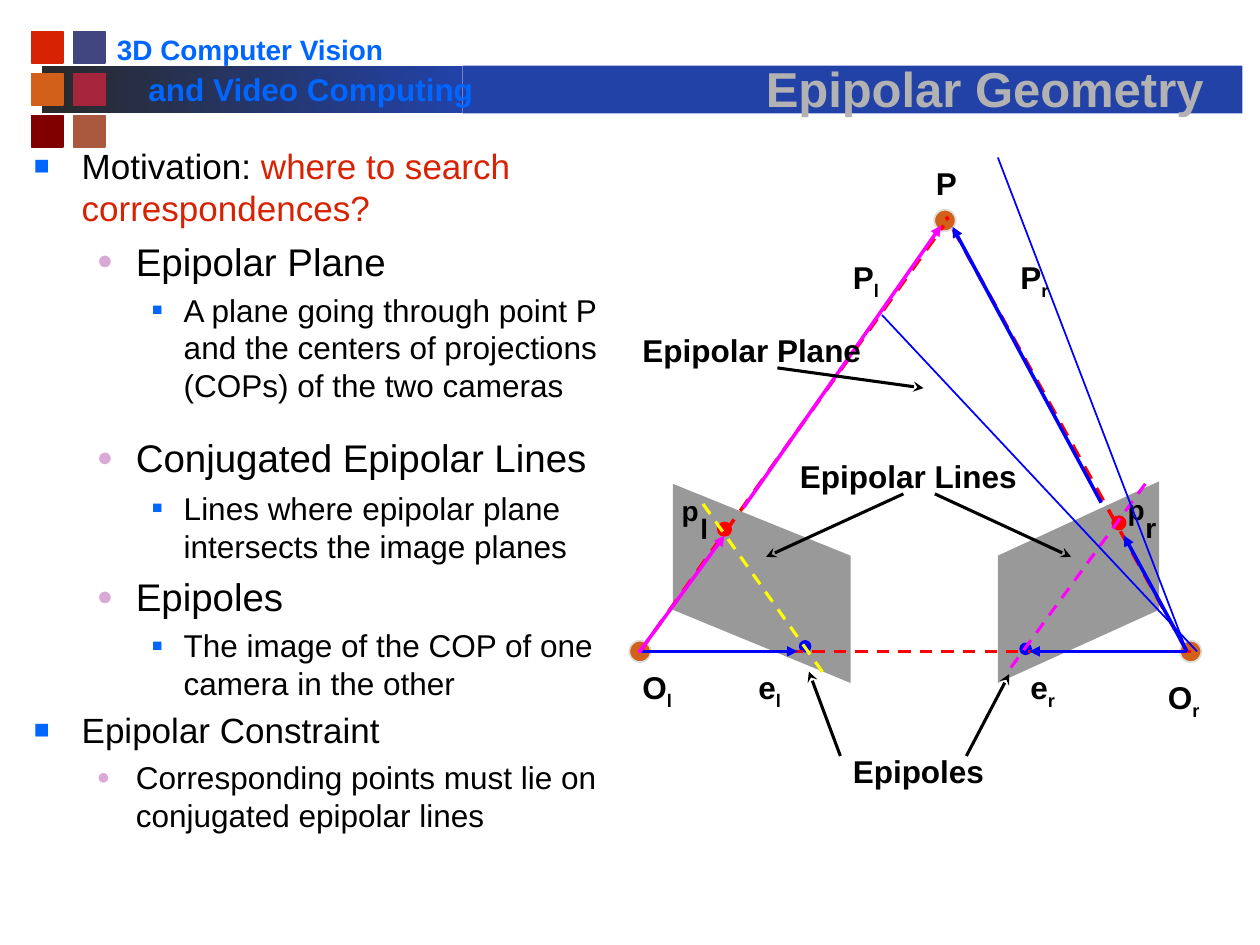
"""Build the Epipolar Geometry lecture slide."""
import pptx
import pptx.dml.color
import pptx.enum.dml
import pptx.enum.shapes
import pptx.enum.text
import pptx.oxml.ns
import pptx.util
from lxml import etree

Inches, Pt = pptx.util.Inches, pptx.util.Pt
RGBColor = pptx.dml.color.RGBColor
SHAPES = pptx.enum.shapes.MSO_SHAPE
ANCHOR = pptx.enum.text.MSO_ANCHOR
ALIGN = pptx.enum.text.PP_ALIGN

FONT = "Arial"
BLACK = RGBColor(0x00, 0x00, 0x00)
GRAY = RGBColor(0x99, 0x99, 0x99)
SILVER = RGBColor(0xB2, 0xB2, 0xB2)
PALE = RGBColor(0xDD, 0xDD, 0xDD)
CHARCOAL = RGBColor(0x29, 0x29, 0x29)
NAVY = RGBColor(0x22, 0x42, 0xA8)
AZURE = RGBColor(0x00, 0x66, 0xFF)
SCARLET = RGBColor(0xD8, 0x22, 0x04)
ORANGE = RGBColor(0xD2, 0x60, 0x1A)
INDIGO = RGBColor(0x42, 0x46, 0x80)
CRIMSON = RGBColor(0xA5, 0x25, 0x3D)
MAROON = RGBColor(0x80, 0x00, 0x00)
SIENNA = RGBColor(0xAA, 0x58, 0x3E)
PINK = RGBColor(0xDB, 0xA9, 0xD7)
RED = RGBColor(0xFF, 0x00, 0x00)
BLUE = RGBColor(0x00, 0x00, 0xFF)
MAGENTA = RGBColor(0xFF, 0x00, 0xFF)
YELLOW = RGBColor(0xFF, 0xFF, 0x00)

TITLE = "Epipolar Geometry"
SQUARES = [(SCARLET, INDIGO), (ORANGE, CRIMSON), (MAROON, SIENNA)]
COURSE = [("3D Computer Vision", 0.83, 0.21, 16),
          ("and Video Computing", 1.08, 0.51, 18)]
LEVELS = [(0.38, 0.38, "■", AZURE, 75), (0.81, 0.31, "●", PINK, 70),
          (1.19, 0.25, "■", AZURE, 55)]
OUTLINE = [
    (0, 20, 0, [("Motivation: ", BLACK), ("where to search correspondences?", SCARLET)]),
    (1, 22, 5, [("Epipolar Plane", BLACK)]),
    (2, 18, 4, [("A plane going through point P and the centers of projections "
                 "(COPs) of the two cameras", BLACK)]),
    (1, 22, 17, [("Conjugated Epipolar Lines", BLACK)]),
    (2, 18, 5, [("Lines where epipolar plane intersects the image planes", BLACK)]),
    (1, 22, 5, [("Epipoles", BLACK)]),
    (2, 18, 4, [("The image of the COP of one camera in the other", BLACK)]),
    (0, 20, 4, [("Epipolar Constraint", BLACK)]),
    (1, 18, 4, [("Corresponding points must lie on conjugated epipolar lines", BLACK)]),
]
IMAGE_PLANES = [[(5.34, 3.84), (6.75, 4.41), (6.75, 5.42), (5.34, 4.84)],
                [(9.2, 3.82), (7.92, 4.41), (7.92, 5.42), (9.2, 4.84)]]
IMAGE_POINTS = [(8.88, 4.15), (5.75, 4.2)]
WORLD_POINTS = [(5.08, 5.17), (9.45, 5.17), (7.5, 1.75)]
EPIPOLES = [(6.39, 5.13), (8.14, 5.15)]
LINES = [
    ((5.08, 5.17), (9.5, 5.17), RED, 1.75, "dash"),
    ((5.08, 5.17), (6.33, 5.17), BLUE, 2, "triangle"),
    ((9.42, 5.17), (8.17, 5.17), BLUE, 2, "triangle"),
    ((5.08, 5.17), (7.49, 1.79), RED, 2, "dash"),
    ((9.42, 5.17), (7.51, 1.72), RED, 2, "dash"),
    ((5.07, 5.18), (5.75, 4.25), MAGENTA, 2, "triangle"),
    ((5.9, 4.03), (7.47, 1.79), MAGENTA, 2, "triangle"),
    ((9.42, 5.17), (8.92, 4.25), BLUE, 2, "triangle"),
    ((8.74, 3.99), (7.56, 1.8), BLUE, 2, "triangle"),
    ((5.58, 4), (6.54, 5.35), YELLOW, 1.75, "dash"),
    ((9.09, 3.84), (8, 5.33), MAGENTA, 1.75, "dash"),
    ((6.17, 2.92), (7.33, 3.08), BLACK, 1.75, "stealth"),
    ((7.17, 3.92), (6.08, 4.42), BLACK, 1.75, "stealth"),
    ((7.42, 3.92), (8.5, 4.42), BLACK, 1.75, "stealth"),
    ((7.67, 6), (8.01, 5.35), BLACK, 1.75, "stealth"),
    ((6.67, 6), (6.42, 5.33), BLACK, 1.75, "stealth"),
    ((7, 2.5), (9.5, 5.17), BLUE, 1, None),
    ((7.92, 1.25), (9.42, 5.17), BLUE, 1, None),
]
POINT_LABELS = [("p", 5.41, 3.92), ("l", 5.56, 4.06), ("p", 8.95, 3.91), ("r", 9.09, 4.05)]
LABELS = [("P", "", 7.33, 1.25), ("O", "l", 5, 5.25), ("O", "r", 9.17, 5.33),
          ("e", "l", 5.92, 5.25), ("e", "r", 8.08, 5.25), ("P", "l", 6.67, 2),
          ("P", "r", 8, 2), ("Epipolar Plane", "", 5, 2.58),
          ("Epipolar Lines", "", 6.25, 3.58), ("Epipoles", "", 6.67, 5.92)]


def add_xml(parent, tag, **attributes):
    return etree.SubElement(parent, pptx.oxml.ns.qn(tag), attributes)


def style_font(font, size, color, bold=True):
    font.name, font.size, font.bold = FONT, Pt(size), bold
    font.color.rgb = color


def paint(shape, fill, line=None):
    shape.shadow.inherit = False
    shape.fill.solid()
    shape.fill.fore_color.rgb = fill
    if line is None:
        shape.line.fill.background()
    else:
        shape.line.color.rgb = line
        shape.line.width = Pt(1)


def add_block(slide, kind, left, top, width, height, fill, line=None):
    shape = slide.shapes.add_shape(kind, Inches(left), Inches(top), Inches(width), Inches(height))
    paint(shape, fill, line)
    return shape


def add_dots(slide, centers, size, fill, line=None):
    for x, y in centers:
        add_block(slide, SHAPES.OVAL, x - size / 2, y - size / 2, size, size, fill, line)


def add_label(slide, text, left, top, width, size, color=BLACK, subscript="", inset=True):
    box = slide.shapes.add_textbox(Inches(left), Inches(top), Inches(width), Inches(0.4))
    frame = box.text_frame
    frame.word_wrap = False
    if not inset:
        frame.margin_left = frame.margin_top = frame.margin_right = frame.margin_bottom = 0
    paragraph = frame.paragraphs[0]
    paragraph.add_run().text = text
    if subscript:
        run = paragraph.add_run()
        run.text = subscript
        run.font._element.set("baseline", "-25000")
    style_font(paragraph.font, size, color)


def add_line(slide, start, end, color, width, style):
    points = [Inches(value) for value in (*start, *end)]
    line = slide.shapes.add_connector(pptx.enum.shapes.MSO_CONNECTOR.STRAIGHT, *points)
    line.line.color.rgb = color
    line.line.width = Pt(width)
    if style == "dash":
        line.line.dash_style = pptx.enum.dml.MSO_LINE.DASH
    elif style:
        add_xml(line.line._get_or_add_ln(), "a:tailEnd", type=style)
    add_xml(line._element.spPr, "a:effectLst")


def add_header(slide):
    bar = add_block(slide, SHAPES.RECTANGLE, 0.33, 0.52, 3.34, 0.38, NAVY)
    bar.fill.gradient()
    bar.fill.gradient_angle = 0
    for stop, color in zip(bar.fill.gradient_stops, (CHARCOAL, NAVY)):
        stop.color.rgb = color
    add_block(slide, SHAPES.RECTANGLE, 3.67, 0.52, 6.19, 0.38, NAVY)
    for row, colors in enumerate(SQUARES):
        for column, color in enumerate(colors):
            add_block(slide, SHAPES.RECTANGLE, 0.25 + column / 3, 0.25 + row / 3,
                      0.25, 0.25, color, color)
    for text, left, top, size in COURSE:
        add_label(slide, text, left, top, 2.83, size, AZURE)


def format_title(slide):
    title = slide.shapes.title
    title.left, title.top, title.width, title.height = map(Inches, (5.67, 0.31, 4.29, 0.67))
    title.text_frame.text = TITLE
    title.text_frame.vertical_anchor = ANCHOR.BOTTOM
    paragraph = title.text_frame.paragraphs[0]
    paragraph.alignment = ALIGN.CENTER
    style_font(paragraph.font, 28, SILVER)
    effects = add_xml(paragraph.runs[0].font._element, "a:effectLst")
    shadow = add_xml(effects, "a:outerShdw", dist="35921", dir="2700000")
    add_xml(shadow, "a:srgbClr", val=str(BLACK))
    slide.shapes._spTree.append(title._element)


def add_outline(slide):
    box = slide.shapes.add_textbox(Inches(0.17), Inches(1.1), Inches(4.67), Inches(6.06))
    frame = box.text_frame
    frame.word_wrap = True
    for index, (level, size, space, runs) in enumerate(OUTLINE):
        paragraph = frame.paragraphs[0] if index == 0 else frame.add_paragraph()
        paragraph.level = level
        paragraph.space_before = Pt(space)
        left, hanging, bullet, color, percent = LEVELS[level]
        properties = paragraph._p.get_or_add_pPr()
        properties.set("marL", str(Inches(left)))
        properties.set("indent", str(-Inches(hanging)))
        add_xml(add_xml(properties, "a:buClr"), "a:srgbClr", val=str(color))
        add_xml(properties, "a:buSzPct", val=str(percent * 1000))
        add_xml(properties, "a:buFont", typeface=FONT)
        add_xml(properties, "a:buChar", char=bullet)
        style_font(paragraph.font, size, BLACK, bold=False)
        for text, run_color in runs:
            run = paragraph.add_run()
            run.text = text
            if run_color != BLACK:
                run.font.color.rgb = run_color


def add_diagram(slide):
    for corners in IMAGE_PLANES:
        points = [(Inches(x), Inches(y)) for x, y in corners]
        builder = slide.shapes.build_freeform(*points[0])
        builder.add_line_segments(points[1:], close=True)
        paint(builder.convert_to_shape(), GRAY)
    add_dots(slide, IMAGE_POINTS, 0.12, RED)
    for text, left, top in POINT_LABELS:
        add_label(slide, text, left, top, 0.14, 16, inset=False)
    add_dots(slide, WORLD_POINTS, 0.17, ORANGE, PALE)
    add_dots(slide, EPIPOLES, 0.1, BLUE)
    for line in LINES:
        add_line(slide, *line)
    for text, subscript, left, top in LABELS:
        width = 2.08 if len(text) > 1 else 0.58
        add_label(slide, text, left, top, width, 18, subscript=subscript)


def main():
    presentation = pptx.Presentation()
    presentation.slide_width, presentation.slide_height = Inches(10), Inches(7.5)
    slide = presentation.slides.add_slide(presentation.slide_layouts[5])
    add_header(slide)
    format_title(slide)
    add_outline(slide)
    add_diagram(slide)
    presentation.save("out.pptx")


if __name__ == "__main__":
    main()
